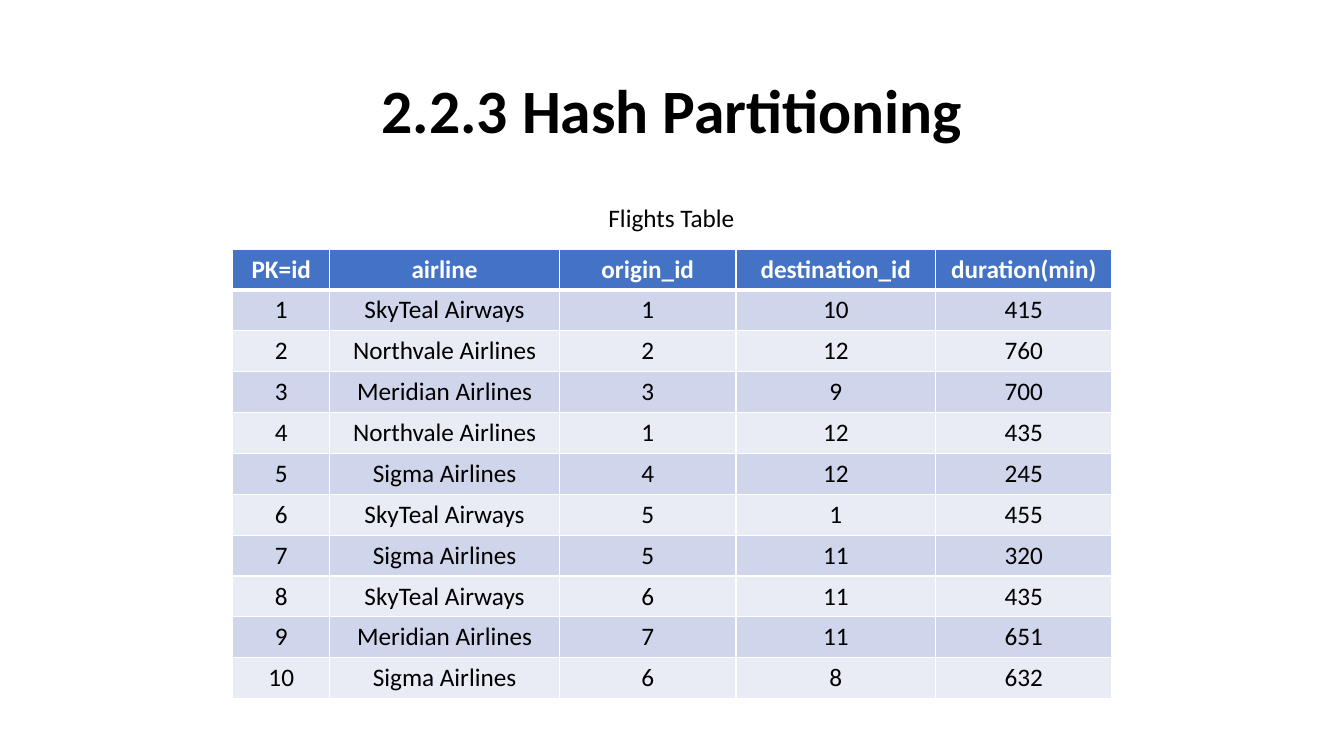
from lxml import etree
from pptx import Presentation
from pptx.dml.color import RGBColor
from pptx.enum.text import MSO_ANCHOR, MSO_AUTO_SIZE, PP_ALIGN
from pptx.oxml.ns import qn
from pptx.util import Inches, Pt

CENTER = PP_ALIGN.CENTER
MIDDLE = MSO_ANCHOR.MIDDLE
NO_AUTOFIT = MSO_AUTO_SIZE.NONE
FONT = "Calibri"
COLORS = {
    "text": "000000",
    "header": "4472C4",
    "header_text": "FFFFFF",
    "odd_row": "CFD5EA",
    "even_row": "E9EBF5",
    "border": "FFFFFF",
}
COLUMNS = ["PK=id", "airline", "origin_id", "destination_id", "duration(min)"]
COLUMN_WIDTHS = [0.96, 2.28, 1.75, 1.98, 1.75]
FLIGHTS = [
    (1, "SkyTeal Airways", 1, 10, 415),
    (2, "Northvale Airlines", 2, 12, 760),
    (3, "Meridian Airlines", 3, 9, 700),
    (4, "Northvale Airlines", 1, 12, 435),
    (5, "Sigma Airlines", 4, 12, 245),
    (6, "SkyTeal Airways", 5, 1, 455),
    (7, "Sigma Airlines", 5, 11, 320),
    (8, "SkyTeal Airways", 6, 11, 435),
    (9, "Meridian Airlines", 7, 11, 651),
    (10, "Sigma Airlines", 6, 8, 632),
]


def style_paragraph(paragraph, size, color, bold=False):
    paragraph.alignment = CENTER
    font = paragraph.font
    font.name = FONT
    font.size = Pt(size)
    font.bold = bold
    font.color.rgb = RGBColor.from_string(COLORS[color])


def set_borders(cell, top, bottom):
    """Draw the cell's four edges; top and bottom are widths in points."""
    properties = cell._tc.get_or_add_tcPr()
    edges = [("a:lnL", 1), ("a:lnR", 1), ("a:lnT", top), ("a:lnB", bottom)]
    for position, (tag, width) in enumerate(edges):
        line = etree.Element(qn(tag), w=str(Pt(width)))
        fill = etree.SubElement(line, qn("a:solidFill"))
        etree.SubElement(fill, qn("a:srgbClr"), val=COLORS["border"])
        properties.insert(position, line)


def place_title(slide, left, top, width, height):
    title = slide.shapes.title
    title.left, title.top = Inches(left), Inches(top)
    title.width, title.height = Inches(width), Inches(height)
    frame = title.text_frame
    frame.text = "2.2.3 Hash Partitioning"
    frame.vertical_anchor = MIDDLE
    frame.auto_size = NO_AUTOFIT
    heading = frame.paragraphs[0]
    heading.line_spacing = 0.9
    style_paragraph(heading, 44, "text", bold=True)


def add_caption(slide, left, top, width, height):
    caption = slide.shapes.add_textbox(
        Inches(left), Inches(top), Inches(width), Inches(height))
    frame = caption.text_frame
    frame.word_wrap = False
    frame.text = "Flights Table"
    style_paragraph(frame.paragraphs[0], 18, "text")


def add_flights_table(slide, left, top, width, height):
    rows = [COLUMNS, *FLIGHTS]
    flights = slide.shapes.add_table(
        len(rows), len(COLUMNS),
        Inches(left), Inches(top), Inches(width), Inches(height)).table
    for column, share in zip(flights.columns, COLUMN_WIDTHS):
        column.width = Inches(width * share / sum(COLUMN_WIDTHS))

    for row_index, values in enumerate(rows):
        is_header = row_index == 0
        if is_header:
            fill_color = "header"
        else:
            fill_color = "odd_row" if row_index % 2 else "even_row"
        text_color = "header_text" if is_header else "text"
        for column_index, value in enumerate(values):
            cell = flights.cell(row_index, column_index)
            cell.text = str(value)
            cell.fill.solid()
            cell.fill.fore_color.rgb = RGBColor.from_string(COLORS[fill_color])
            style_paragraph(cell.text_frame.paragraphs[0], 18, text_color, is_header)
            set_borders(cell, top=3 if row_index == 1 else 1,
                        bottom=3 if is_header else 1)


def main():
    presentation = Presentation()
    presentation.slide_width = Inches(13.33)
    presentation.slide_height = Inches(7.5)
    title_only = presentation.slide_layouts[5]
    slide = presentation.slides.add_slide(title_only)
    place_title(slide, 0.92, 0.4, 11.5, 1.45)
    add_flights_table(slide, 2.31, 2.47, 8.72, 4.46)
    add_caption(slide, 5.93, 1.96, 1.46, 0.4)
    presentation.save("out.pptx")


if __name__ == "__main__":
    main()
